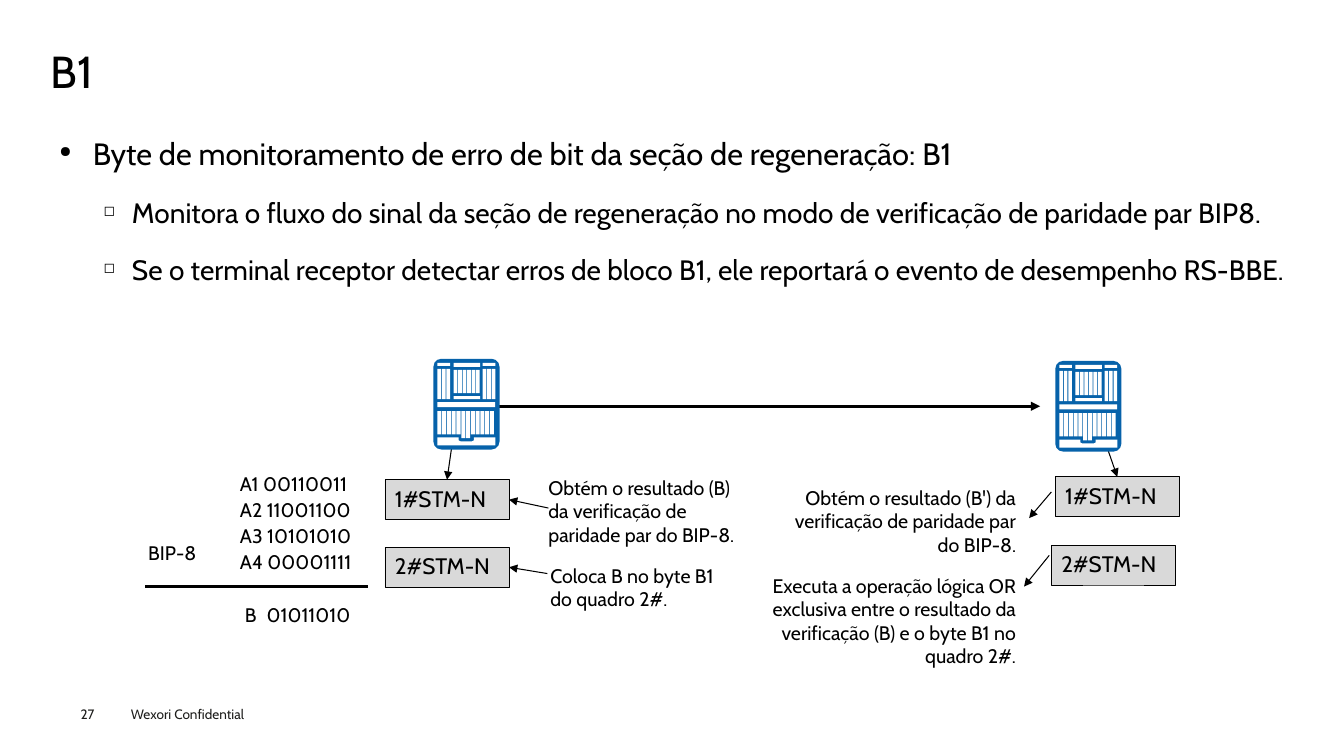
from lxml import etree
from pptx import Presentation
from pptx.dml.color import RGBColor
from pptx.enum.shapes import MSO_CONNECTOR, MSO_SHAPE
from pptx.enum.text import MSO_ANCHOR, PP_ALIGN
from pptx.oxml.ns import qn
from pptx.util import Pt

LEFT, RIGHT, JUSTIFY = PP_ALIGN.LEFT, PP_ALIGN.RIGHT, PP_ALIGN.JUSTIFY
TOP, MIDDLE = MSO_ANCHOR.TOP, MSO_ANCHOR.MIDDLE
RECT, ROUNDED = MSO_SHAPE.RECTANGLE, MSO_SHAPE.ROUNDED_RECTANGLE
STRAIGHT = MSO_CONNECTOR.STRAIGHT
SIDE_TOP, SIDE_RIGHT = 0, 3

COLORS = {"text": "000000", "footer": "1D1D1B", "frame": "D9D9D9",
          "device": "0662AA", "panel": "FFFFFF"}


def rgb(name):
    return RGBColor.from_string(COLORS[name])


class SlideBuilder:
    font = "Cabin"

    def __init__(self, slide):
        self.shapes = slide.shapes

    def style(self, p, size, color="text", align=LEFT):
        p.alignment = align
        p.font.name = self.font
        p.font.size = Pt(size)
        p.font.color.rgb = rgb(color)

    def text_box(self, x, y, w, h, size=14, inset=(0, 0), anchor=TOP, wrap=True):
        tf = self.shapes.add_textbox(Pt(x), Pt(y), Pt(w), Pt(h)).text_frame
        tf.word_wrap = wrap
        tf.vertical_anchor = anchor
        tf.margin_left = tf.margin_right = Pt(inset[0])
        tf.margin_top = tf.margin_bottom = Pt(inset[1])
        return tf

    def text(self, text, x, y, w, h, size=14, color="text", align=LEFT, **box):
        tf = self.text_box(x, y, w, h, **box)
        p = tf.paragraphs[0]
        p.text = text
        self.style(p, size, color, align)
        return p

    def bullets(self, items, x, y, w, h):
        tf = self.text_box(x, y, w, h, inset=(6.5, 3))
        for i, (text, level, char, size, margin, hang) in enumerate(items):
            p = tf.paragraphs[0] if i == 0 else tf.add_paragraph()
            p.text = text
            p.level = level
            p_pr = p._p.get_or_add_pPr()
            p_pr.set("marL", str(Pt(margin)))
            p_pr.set("indent", str(-Pt(hang)))
            etree.SubElement(p_pr, qn("a:buSzPct")).set("val", "50000")
            etree.SubElement(p_pr, qn("a:buChar")).set("char", char)
            p.line_spacing = 1.4
            if i:
                p.space_before = Pt(7.2)
            self.style(p, size, align=JUSTIFY)

    def parity_sum(self, rows, total, stops, x, y, w, h):
        tf = self.text_box(x, y, w, h, anchor=MIDDLE)
        for i, row in enumerate(rows + [total]):
            p = tf.paragraphs[0] if i == 0 else tf.add_paragraph()
            p.text = row
            p.space_after = Pt(1.8)
            if row == total:
                p.space_before = Pt(19)
                tabs = etree.SubElement(p._p.get_or_add_pPr(), qn("a:tabLst"))
                for stop in stops:
                    etree.SubElement(tabs, qn("a:tab"), pos=str(Pt(stop)), algn="l")
            self.style(p, 14)

    def block(self, x, y, w, h, fill, kind=RECT, parent=None):
        sp = (parent or self).shapes.add_shape(kind, Pt(x), Pt(y), Pt(w), Pt(h))
        sp.shadow.inherit = False
        sp.fill.solid()
        sp.fill.fore_color.rgb = rgb(fill)
        sp.line.fill.background()
        return sp

    def frame(self, text, x, y):
        sp = self.block(x, y, 88.6, 28.4, "frame")
        sp.line.color.rgb = rgb("text")
        sp.line.width = Pt(0.63)
        tf = sp.text_frame
        tf.vertical_anchor = TOP
        p = tf.paragraphs[0]
        p.text = text
        self.style(p, 16)
        return sp

    def line(self, x1, y1, x2, y2, width=0.75, arrow=True, target=None, side=None):
        cx = self.shapes.add_connector(STRAIGHT, Pt(x1), Pt(y1), Pt(x2), Pt(y2))
        cx.line.color.rgb = rgb("text")
        cx.line.width = Pt(width)
        if arrow:
            etree.SubElement(cx.line._get_or_add_ln(), qn("a:tailEnd"), type="triangle")
        etree.SubElement(cx._element.spPr, qn("a:effectLst"))
        if target is not None:
            cx.end_connect(target, side)

    def device(self, x, y):
        group = self.shapes.add_group_shape()
        body = self.block(x, y, 47.2, 64.8, "device", ROUNDED, group)
        body.adjustments[0] = 0.12

        # Rows of slats: left, top, step, width, height of each slat
        rows = [([21.6] * 3, 2.9, 7.2, 3.2, 2.6),
                ([16.6] * 6, 14.4, 7.9, 3.2, 2.7),
                ([21.6] * 3, 35.2, 7.2, 3.2, 2.6),
                ([16.6] * 5 + [19.4] * 2 + [16.6] * 5, 2.9, 37.4, 3.4, 2.9)]
        for heights, left, top, step, width in rows:
            for i, height in enumerate(heights):
                self.block(x + left + i * step, y + top, width, height, "panel", parent=group)

        # Lids, shelf and middle band
        for left, top, width, height in [(2.9, 2.9, 9, 2.2), (14.4, 2.9, 18.9, 2.9),
                                         (35.2, 2.9, 9, 2.2), (14.4, 26.6, 18.9, 2.2),
                                         (2.9, 31, 41.2, 3.6)]:
            self.block(x + left, y + top, width, height, "panel", parent=group)

        # Notched base
        base = [(2.9, 61.9), (2.9, 56.2), (18, 56.2), (18, 58.3), (19.4, 59), (27.4, 59),
                (28.8, 58.3), (28.8, 56.2), (44.3, 56.2), (44.3, 61.9)]
        points = [(Pt(x + dx), Pt(y + dy)) for dx, dy in base]
        fb = group.shapes.build_freeform(*points[0])
        fb.add_line_segments(points[1:])
        sp = fb.convert_to_shape()
        sp.shadow.inherit = False
        sp.fill.solid()
        sp.fill.fore_color.rgb = rgb("panel")
        sp.line.fill.background()


def main():
    prs = Presentation()
    prs.slide_width, prs.slide_height = Pt(960), Pt(540)
    s = SlideBuilder(prs.slides.add_slide(prs.slide_layouts[6]))

    # Footer
    s.text("Wexori Confidential", 86.4, 500.4, 115.2, 19.4, 9.7, "footer", inset=(7.2, 3.6))
    s.text("27", 57.6, 504, 39.6, 11.5, 9.7, "footer")

    # Title and bullets
    s.text("B1", 36, 35.3, 889.2, 38.9, 32).line_spacing = 0.9
    s.bullets([
        ("Byte de monitoramento de erro de bit da seção de regeneração: B1",
         0, "●", 22, 23.8, 23.8),
        ("Monitora o fluxo do sinal da seção de regeneração no modo de verificação "
         "de paridade par BIP8.", 1, "◻", 20, 51.8, 20.2),
        ("Se o terminal receptor detectar erros de bloco B1, ele reportará o evento "
         "de desempenho RS-BBE.", 1, "◻", 20, 51.8, 20.2),
    ], 36, 82.8, 889.2, 383.8)

    # Frames at the sender and the receiver
    sent_1 = s.frame("1#STM-N", 275, 342.7)
    sent_2 = s.frame("2#STM-N", 275, 391)
    received_1 = s.frame("1#STM-N", 753.8, 340.6)
    s.frame("2#STM-N", 751, 389.5)

    # Explanations
    s.text("Obtém o resultado (B) da verificação de paridade par do BIP-8.",
           391.7, 339.8, 143.3, 49.7)
    s.text("Coloca B no byte B1 do quadro 2#.", 393.1, 402.5, 135.4, 44.6)
    s.text("Obtém o resultado (B') da verificação de paridade par do BIP-8.",
           560.9, 347, 164.9, 44.6, align=RIGHT)
    s.text("Executa a operação lógica OR exclusiva entre o resultado da verificação (B) "
           "e o byte B1 no quadro 2#.", 546.5, 409.7, 179.3, 73.4, align=RIGHT)

    # Parity calculation
    s.parity_sum(["A1 00110011", "A2 11001100", "A3 10101010", "A4 00001111"],
                 "\tB\t01011010", (3.5, 19), 171.4, 334.8, 90, 114.5)
    s.text("BIP-8", 105.8, 385.9, 35.3, 17.3, anchor=MIDDLE, wrap=False)
    s.line(103.7, 419, 262.8, 419, 2, arrow=False)

    # Arrows
    s.line(322.6, 319.7, 319.3, 342.7, target=sent_1, side=SIDE_TOP)
    s.line(791.3, 321.1, 798.1, 340.6, target=received_1, side=SIDE_TOP)
    s.line(391.7, 362.9, 363.6, 356.9, target=sent_1, side=SIDE_RIGHT)
    s.line(391, 409.7, 363.6, 405.2, target=sent_2, side=SIDE_RIGHT)
    s.line(751, 351.4, 735.1, 370.1)
    s.line(749.5, 396.7, 731.5, 419)
    s.line(356.4, 290.2, 743, 290.2, 2.25)

    # Devices
    s.device(309.6, 256.3)
    s.device(753.8, 257.8)

    prs.save("out.pptx")


if __name__ == "__main__":
    main()
